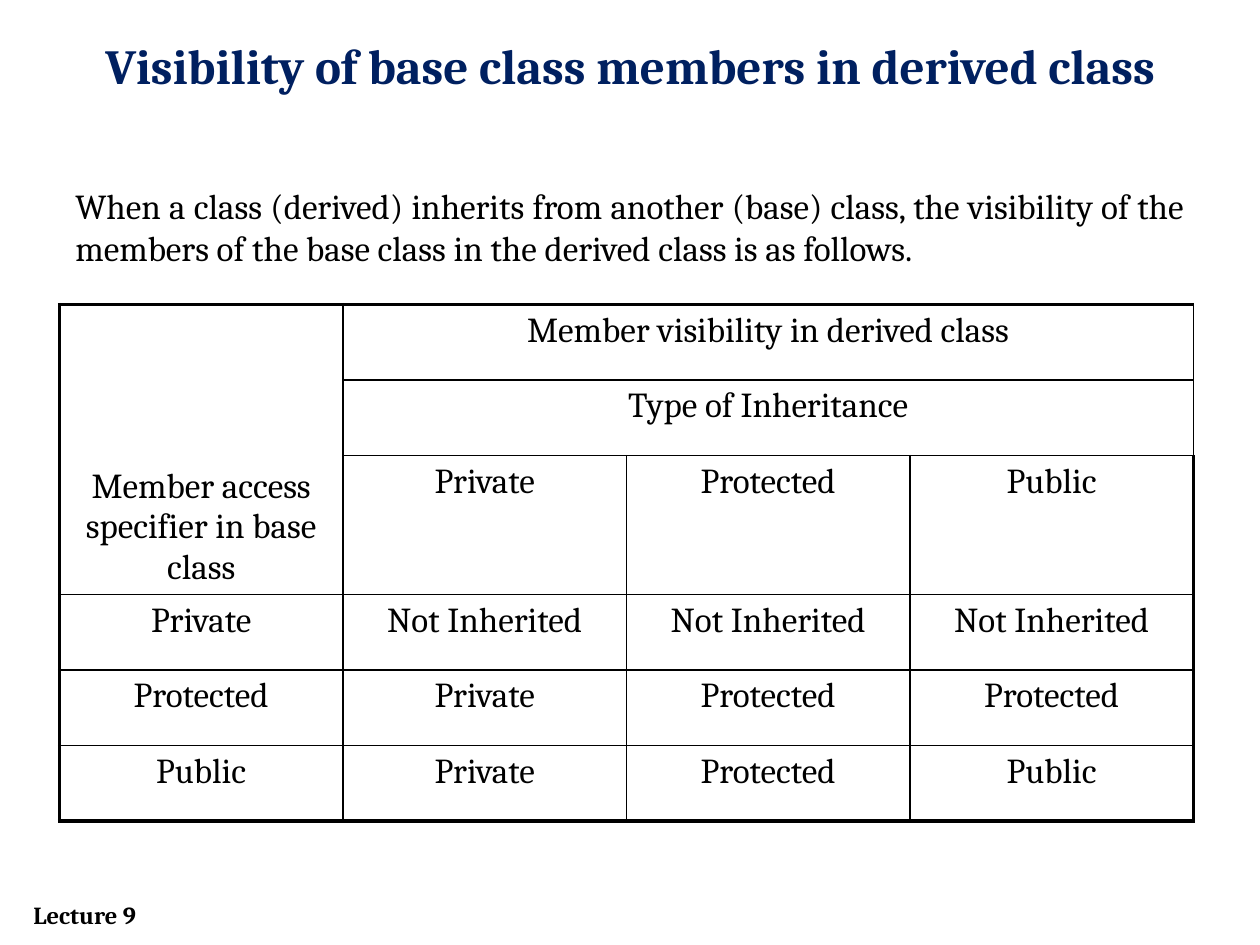
from lxml import etree
from pptx import Presentation
from pptx.dml.color import RGBColor
from pptx.enum import text
from pptx.oxml.ns import qn
from pptx.util import Pt

TITLE = "Visibility of base class members in derived class"
INTRO = ("When a class (derived) inherits from another (base) class, the visibility "
         "of the members of the base class in the derived class is as follows.")
FOOTER = "Lecture 9"
ROWS = [
    ["Member access specifier in base class", "Member visibility in derived class", "", ""],
    ["", "Type of Inheritance", "", ""],
    ["", "Private", "Protected", "Public"],
    ["Private", "Not Inherited", "Not Inherited", "Not Inherited"],
    ["Protected", "Private", "Protected", "Protected"],
    ["Public", "Private", "Protected", "Public"],
]
MERGES = [((0, 0), (2, 0)), ((0, 1), (0, 3)), ((1, 1), (1, 3))]
THEME = dict(font="Cambria", ink="000000", head="002060",
             title=28, body=20, foot=14, thin=1, thick=2.25)
ALIGN = text.PP_ALIGN


def write(frame, words, size, color=THEME["ink"], bold=False, align=ALIGN.LEFT):
    frame.text = words
    frame.word_wrap = True
    para = frame.paragraphs[0]
    para.alignment = align
    font = para.font
    font.name, font.size, font.bold = THEME["font"], Pt(size), bold
    font.color.rgb = RGBColor.from_string(color)


def border(cell, side, width):
    line = etree.SubElement(cell._tc.get_or_add_tcPr(), qn("a:ln" + side), w=str(Pt(width)))
    fill = etree.SubElement(line, qn("a:solidFill"))
    etree.SubElement(fill, qn("a:srgbClr"), val=THEME["ink"])


def add_grid(slide, left, top, wide, high):
    rows, cols = len(ROWS), len(ROWS[0])
    grid = slide.shapes.add_table(rows, cols, Pt(left), Pt(top), Pt(wide), Pt(high)).table
    grid.first_row = grid.horz_banding = False
    for r, row in enumerate(ROWS):
        for c, words in enumerate(row):
            cell = grid.cell(r, c)
            edges = {"L": c == 0, "R": c == cols - 1, "T": r == 0, "B": r == rows - 1}
            for side, outer in edges.items():
                border(cell, side, THEME["thick" if outer else "thin"])
            cell.fill.background()
            write(cell.text_frame, words, THEME["body"], align=ALIGN.CENTER)
    for start, end in MERGES:
        grid.cell(*start).merge(grid.cell(*end))
    grid.cell(0, 0).vertical_anchor = text.MSO_ANCHOR.BOTTOM


def main():
    deck = Presentation()
    deck.slide_width, deck.slide_height = Pt(720), Pt(540)
    slide = deck.slides.add_slide(deck.slide_layouts[5])

    title = slide.shapes.title
    title.left, title.top, title.width, title.height = Pt(36), Pt(16.5), Pt(648), Pt(55.5)
    write(title.text_frame, TITLE, THEME["title"], THEME["head"], True, ALIGN.CENTER)
    title.text_frame.vertical_anchor = text.MSO_ANCHOR.TOP
    title.text_frame.auto_size = text.MSO_AUTO_SIZE.NONE

    foot = slide.shapes.add_textbox(Pt(12), Pt(510.5), Pt(144), Pt(24.5))
    write(foot.text_frame, FOOTER, THEME["foot"], bold=True)
    add_grid(slide, 34, 174, 648, 259.2)
    intro = slide.shapes.add_textbox(Pt(36), Pt(102), Pt(648), Pt(55.5))
    write(intro.text_frame, INTRO, THEME["body"], align=ALIGN.JUSTIFY)

    deck.save("out.pptx")


if __name__ == "__main__":
    main()
